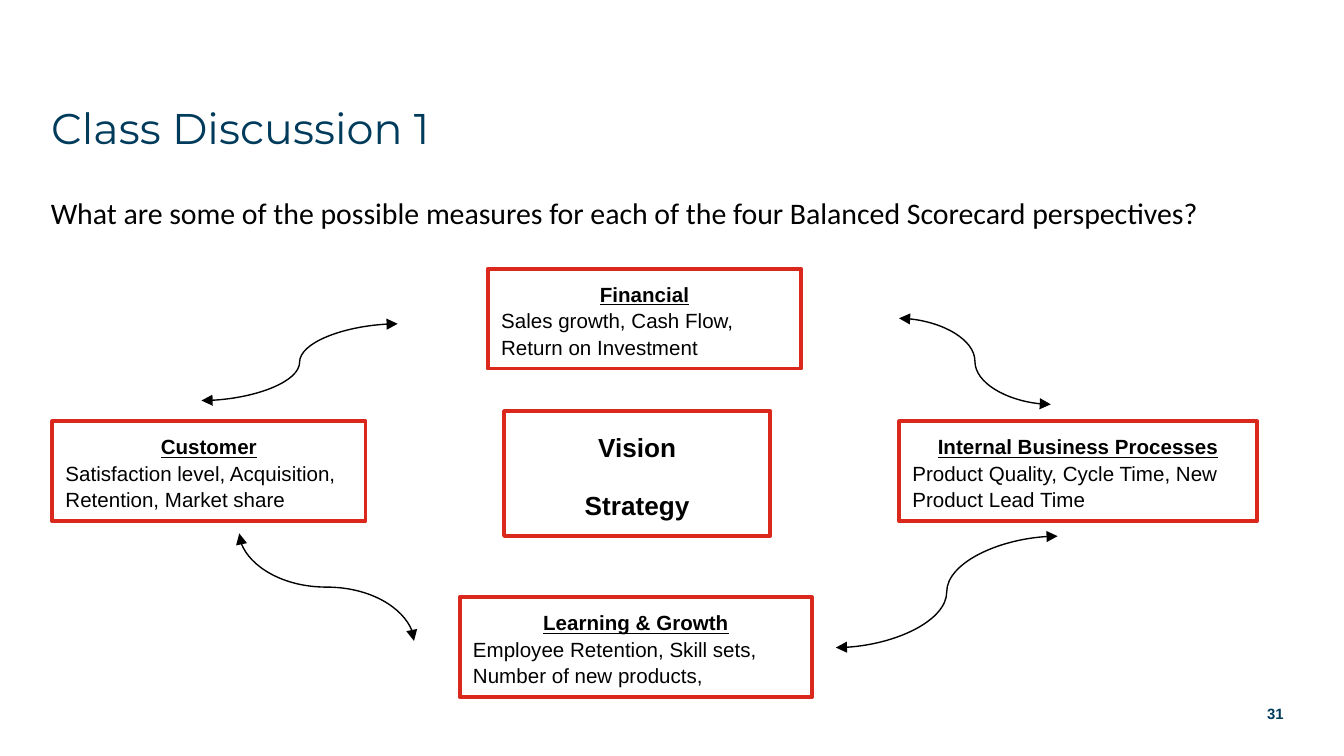
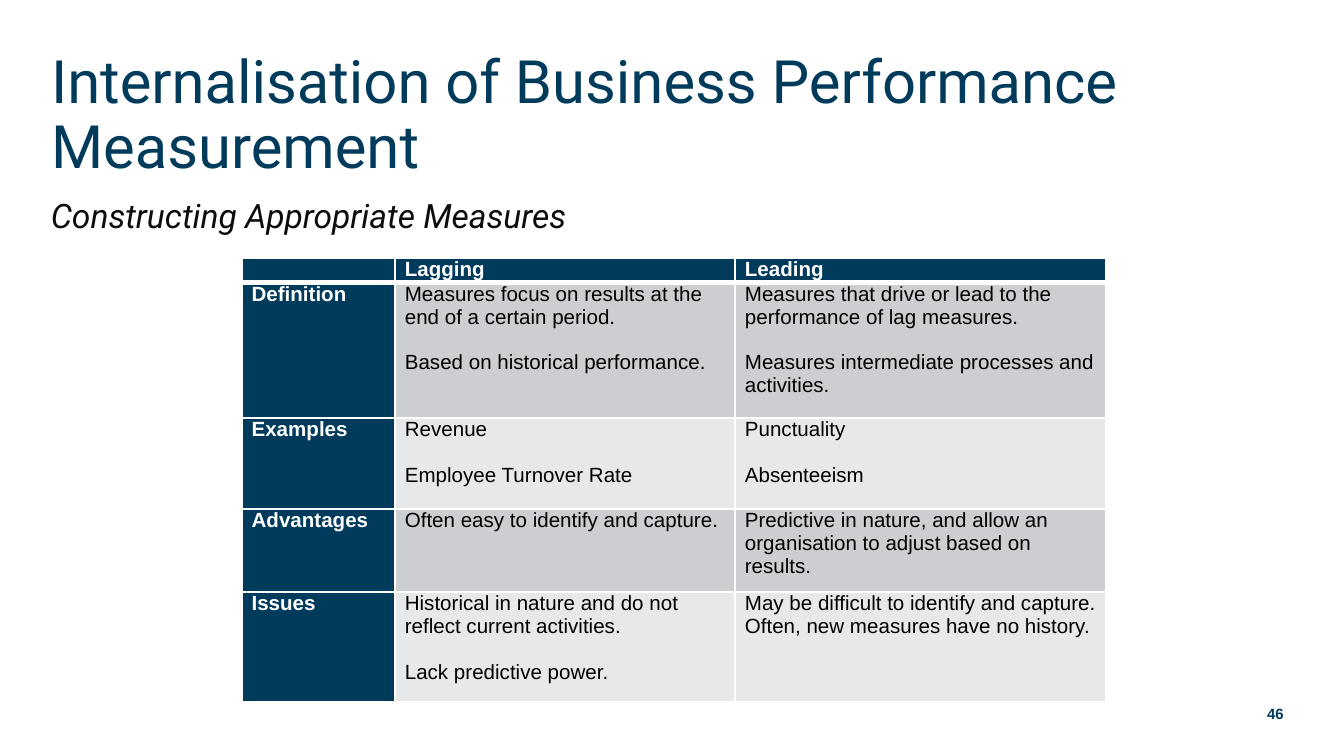
"""Build two slides on the balanced scorecard and on lagging and leading measures."""
from lxml import etree
from pptx import Presentation
from pptx.dml.color import RGBColor
from pptx.enum.shapes import MSO_CONNECTOR, MSO_SHAPE
from pptx.enum.text import MSO_ANCHOR, MSO_AUTO_SIZE, PP_ALIGN
from pptx.oxml import parse_xml
from pptx.oxml.ns import nsdecls, qn
from pptx.util import Pt

NAVY = RGBColor(0x00, 0x3B, 0x5C)
RED = RGBColor(0xDA, 0x29, 0x1C)
WHITE = RGBColor(0xFF, 0xFF, 0xFF)
BLACK = RGBColor(0x00, 0x00, 0x00)
NEAR_BLACK = RGBColor(0x0D, 0x0D, 0x0D)
DARK_BAND = RGBColor(0xCC, 0xCE, 0xD2)
LIGHT_BAND = RGBColor(0xE7, 0xE8, 0xEA)
LEFT, CENTER, RIGHT = PP_ALIGN.LEFT, PP_ALIGN.CENTER, PP_ALIGN.RIGHT
MIDDLE, BOTTOM = MSO_ANCHOR.MIDDLE, MSO_ANCHOR.BOTTOM
NO_AUTOFIT = MSO_AUTO_SIZE.NONE
RECTANGLE = MSO_SHAPE.RECTANGLE
CURVE = MSO_CONNECTOR.CURVE
MARGIN, CONTENT_WIDTH = 20.16, 674.64


def format_paragraph(paragraph, font, size, color, bold=False, align=LEFT, spacing=1.0, before=0):
    """Set the alignment, spacing and run fonts of a paragraph."""
    paragraph.alignment = align
    paragraph.line_spacing = spacing
    paragraph.space_before = Pt(before)
    for run in paragraph.runs:
        run.font.name = font
        run.font.size = Pt(size)
        run.font.color.rgb = color
        run.font.bold = bold


def add_text(slide, text, left, top, width, height):
    """Add a wrapping text box and return its text frame."""
    text_frame = slide.shapes.add_textbox(Pt(left), Pt(top), Pt(width), Pt(height)).text_frame
    text_frame.word_wrap = True
    text_frame.text = text
    return text_frame


presentation = Presentation()
presentation.slide_width, presentation.slide_height = Pt(720), Pt(405)

page_data = [
    ("Class Discussion 1", "Montserrat", 23, MIDDLE, 1.0, "31",
     "What are some of the possible measures for each of the four Balanced Scorecard perspectives?",
     "Calibri", 16, BLACK, False),
    ("Internalisation of Business Performance Measurement", "Roboto", 32, BOTTOM, 0.9, "46",
     "Constructing Appropriate Measures", "Roboto", 18, NEAR_BLACK, True),
]
slides = []
for (title_text, title_font, title_size, anchor, spacing, number,
     lead_text, lead_font, lead_size, lead_color, italic) in page_data:
    slide = presentation.slides.add_slide(presentation.slide_layouts[5])
    slides.append(slide)
    title = slide.shapes.title
    title.left, title.top = Pt(MARGIN), Pt(36)
    title.width, title.height = Pt(CONTENT_WIDTH), Pt(64.8)
    title.text_frame.text = title_text
    title.text_frame.auto_size = NO_AUTOFIT
    title.text_frame.vertical_anchor = anchor
    format_paragraph(title.text_frame.paragraphs[0], title_font, title_size, NAVY, spacing=spacing)

    lead = add_text(slide, lead_text, MARGIN, 100.8, CONTENT_WIDTH, 30).paragraphs[0]
    format_paragraph(lead, lead_font, lead_size, lead_color)
    lead.runs[0].font.italic = italic

    number_frame = add_text(slide, number, 540, 371.5, 154.8, 21.6)
    number_frame.vertical_anchor = MIDDLE
    format_paragraph(number_frame.paragraphs[0], "Arial", 8, NAVY, bold=True, align=RIGHT)

discussion, measures = slides

perspectives = [
    ("Financial", "Sales growth, Cash Flow, Return on Investment", 261.4, 144, 167.8, 53.5),
    ("Customer", "Satisfaction level, Acquisition, Retention, Market share", 28, 225.7, 167.8, 53.5),
    ("Internal Business Processes", "Product Quality, Cycle Time, New Product Lead Time",
     481.7, 225.7, 191.8, 53.5),
    ("Learning & Growth", "Employee Retention, Skill sets, Number of new products,",
     246.3, 320, 188.8, 53.5),
    ("Vision", "Strategy", 270, 220.2, 142.6, 67),
]
for heading, detail, left, top, width, height in perspectives:
    box = discussion.shapes.add_shape(RECTANGLE, Pt(left), Pt(top), Pt(width), Pt(height))
    box.shadow.inherit = False
    box.fill.solid()
    box.fill.fore_color.rgb = WHITE
    box.line.color.rgb = RED
    box.line.width = Pt(2)
    box.text_frame.word_wrap = True
    box.text_frame.vertical_anchor = MIDDLE
    box.text_frame.text = f"{heading}\n{detail}"
    first, second = box.text_frame.paragraphs
    if heading == "Vision":
        format_paragraph(first, "Arial", 14, BLACK, True, CENTER, 1.15)
        format_paragraph(second, "Arial", 14, BLACK, True, CENTER, 1.15, 12)
    else:
        format_paragraph(first, "Arial", 11, BLACK, True, CENTER, 1.15)
        first.runs[0].font.underline = True
        format_paragraph(second, "Arial", 11, BLACK, spacing=1.07)

curves = [
    (213.1, 173.5, 108, 214.6, 0),
    (203.8, 267.8, 146.2, 361.4, 270),
    (447.8, 347, 566.6, 287.3, 0),
    (563, 216.7, 481.7, 170.6, 0),
]
for begin_x, begin_y, end_x, end_y, rotation in curves:
    curve = discussion.shapes.add_connector(CURVE, Pt(begin_x), Pt(begin_y), Pt(end_x), Pt(end_y))
    curve.line.color.rgb = BLACK
    curve.line.width = Pt(0.75)
    properties = curve._element.spPr
    if rotation:
        properties.find(qn("a:xfrm")).set("rot", str(rotation * 60000))
    for end in ("a:headEnd", "a:tailEnd"):
        etree.SubElement(properties.find(qn("a:ln")), qn(end), type="triangle")
    etree.SubElement(properties, qn("a:effectLst"))

table_rows = [
    ("", "Lagging", "Leading"),
    ("Definition",
     "Measures focus on results at the end of a certain period.\nBased on historical performance.",
     "Measures that drive or lead to the performance of lag measures.\n"
     "Measures intermediate processes and activities."),
    ("Examples", "Revenue\nEmployee Turnover Rate", "Punctuality\nAbsenteeism"),
    ("Advantages", "Often easy to identify and capture.",
     "Predictive in nature, and allow an organisation to adjust based on results."),
    ("Issues",
     "Historical in nature and do not reflect current activities.\nLack predictive power.",
     "May be difficult to identify and capture. Often, new measures have no history."),
]
column_widths = [82.1, 182.2, 198.7]
row_heights = [12.3, 72.5, 48.8, 44.5, 59]
table = measures.shapes.add_table(
    len(table_rows), len(column_widths), Pt(129.6), Pt(138.2),
    Pt(sum(column_widths)), Pt(sum(row_heights))).table
table.first_row = table.horz_banding = False
for column, width in zip(table.columns, column_widths):
    column.width = Pt(width)
for row_index, (row, height) in enumerate(zip(table.rows, row_heights)):
    row.height = Pt(height)
    for column_index, cell in enumerate(row.cells):
        is_heading = row_index == 0 or column_index == 0
        cell.margin_left = cell.margin_right = Pt(5.2)
        cell.margin_top = cell.margin_bottom = 0
        cell.text_frame.text = table_rows[row_index][column_index]
        for index, paragraph in enumerate(cell.text_frame.paragraphs):
            format_paragraph(paragraph, "Arial", 11, WHITE if is_heading else BLACK,
                             is_heading, before=12.3 if index else 0)
            if not paragraph.runs:
                etree.SubElement(paragraph._p, qn("a:endParaRPr"), sz="1100")
        cell_properties = cell._tc.get_or_add_tcPr()
        for side in ("L", "R", "T", "B"):
            under_header = (row_index, side) in ((0, "B"), (1, "T"))
            cell_properties.append(parse_xml(
                f'<a:ln{side} {nsdecls("a")} w="{Pt(3 if under_header else 1)}">'
                f'<a:solidFill><a:srgbClr val="{WHITE}"/></a:solidFill></a:ln{side}>'))
        cell.fill.solid()
        band = DARK_BAND if row_index % 2 else LIGHT_BAND
        cell.fill.fore_color.rgb = NAVY if is_heading else band

presentation.save("out.pptx")
